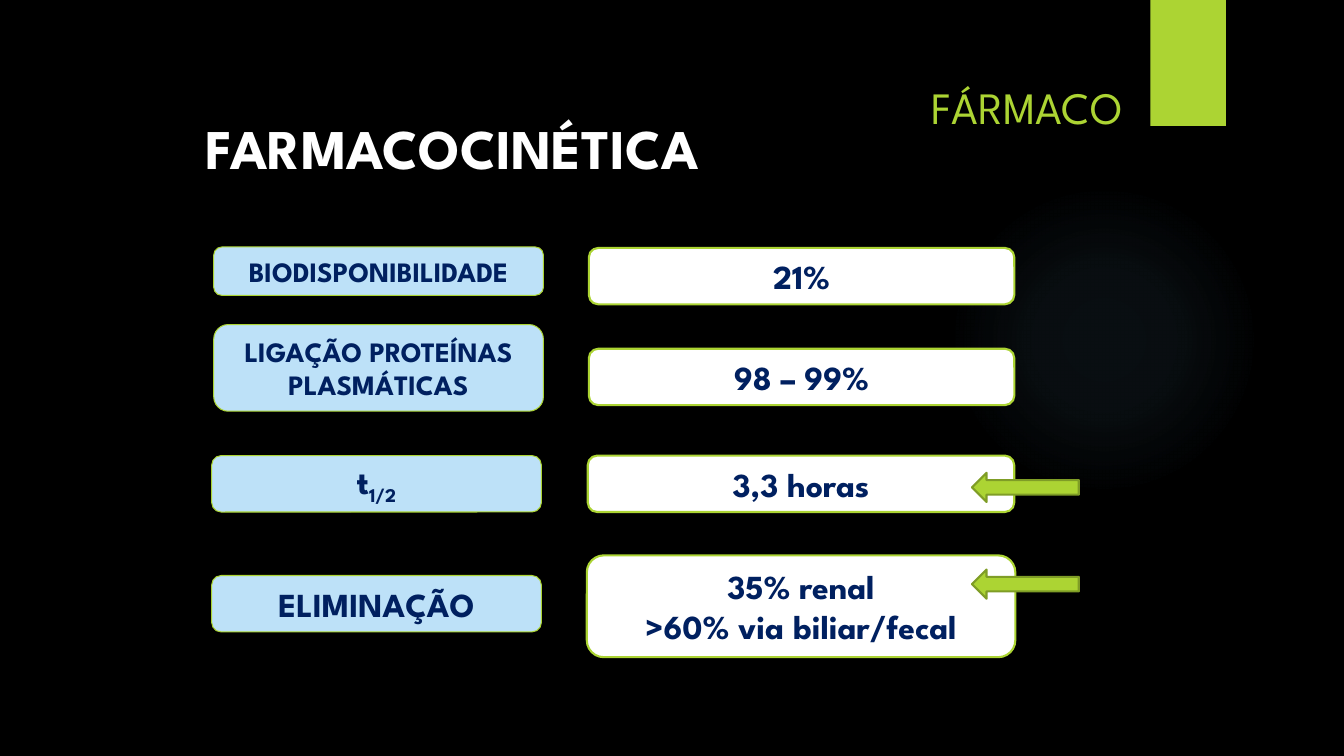
from dataclasses import dataclass

from lxml.etree import SubElement
from pptx import Presentation
from pptx.dml.color import RGBColor
from pptx.enum.shapes import MSO_SHAPE
from pptx.enum.text import MSO_ANCHOR, MSO_AUTO_SIZE, PP_ALIGN
from pptx.oxml.ns import qn
from pptx.util import Inches, Pt


@dataclass(frozen=True)
class Theme:
    font: str = "League Spartan"
    black: str = "000000"
    white: str = "FFFFFF"
    lime: str = "ACD433"
    olive: str = "7F9D26"
    sky: str = "BDE1F8"
    navy: str = "002060"
    glow: str = "7AC4F0"
    title: int = 40
    brand: int = 32
    body: int = 24
    label: int = 20
    thin: float = 0.75
    thick: float = 1.5


T = Theme()


@dataclass(frozen=True)
class Box:
    left: float
    top: float
    width: float
    height: float


@dataclass(frozen=True)
class Card:
    box: Box
    lines: tuple[str, ...]
    size: int = T.body
    subscript: str = ""


@dataclass(frozen=True)
class Heading:
    box: Box
    text: str
    size: int
    color: str
    bold: bool


LABELS = (
    Card(Box(2.12, 2.45, 3.27, 0.48), ("BIODISPONIBILIDADE",), T.label),
    Card(Box(2.12, 3.22, 3.27, 0.86), ("LIGAÇÃO PROTEÍNAS PLASMÁTICAS",), T.label),
    Card(Box(2.1, 4.52, 3.27, 0.56), ("t",), subscript="1/2"),
    Card(Box(2.1, 5.71, 3.27, 0.56), ("ELIMINAÇÃO",)),
)
VALUES = (
    Card(Box(5.84, 2.46, 4.22, 0.56), ("21%",)),
    Card(Box(5.84, 3.46, 4.22, 0.56), ("98 – 99%",)),
    Card(Box(5.83, 4.52, 4.23, 0.56), ("3,3 horas",)),
    Card(Box(5.82, 5.51, 4.25, 1.01), ("35% renal", ">60% via biliar/fecal")),
)
HEADINGS = (
    Heading(Box(9.14, 0.74, 2.14, 0.64), "FÁRMACO", T.brand, T.lime, False),
    Heading(Box(1.94, 1.08, 5.59, 0.77), "FARMACOCINÉTICA", T.title, T.white, True),
)
ARROW_TOPS = (4.69, 5.65)
GLOW_STOPS = ((0, 7), (36, 6), (69, 0))


def emu(box: Box) -> tuple:
    return tuple(Inches(v) for v in (box.left, box.top, box.width, box.height))


def add_run(p, text: str, size: int, color: str, bold: bool):
    r = p.add_run()
    r.text = text
    for name, value in {"name": T.font, "size": Pt(size), "bold": bold}.items():
        setattr(r.font, name, value)
    r.font.color.rgb = RGBColor.from_string(color)
    return r


def add_shape(s, kind, box: Box, fill: str, line: str = "", weight: float = 0):
    sp = s.shapes.add_shape(kind, *emu(box))
    sp.shadow.inherit = False
    sp.fill.solid()
    sp.fill.fore_color.rgb = RGBColor.from_string(fill)
    if line:
        sp.line.color.rgb = RGBColor.from_string(line)
        sp.line.width = Pt(weight)
    else:
        sp.line.fill.background()
    return sp


def add_glow(s, box: Box) -> None:
    sp = add_shape(s, MSO_SHAPE.OVAL, box, T.glow)
    solid = sp._element.spPr.find(qn("a:solidFill"))
    grad = solid.makeelement(qn("a:gradFill"), {"rotWithShape": "1"})
    stops = SubElement(grad, qn("a:gsLst"))
    for position, alpha in GLOW_STOPS:
        stop = SubElement(stops, qn("a:gs"), pos=str(position * 1000))
        color = SubElement(stop, qn("a:srgbClr"), val=T.glow)
        SubElement(color, qn("a:alpha"), val=str(alpha * 1000))
    circle = SubElement(grad, qn("a:path"), path="circle")
    SubElement(circle, qn("a:fillToRect"), {side: "50000" for side in "ltrb"})
    solid.getparent().replace(solid, grad)


def add_card(s, card: Card, fill: str, weight: float) -> None:
    sp = add_shape(s, MSO_SHAPE.ROUNDED_RECTANGLE, card.box, fill, T.lime, weight)
    tf = sp.text_frame
    for name, value in {"word_wrap": True, "vertical_anchor": MSO_ANCHOR.MIDDLE}.items():
        setattr(tf, name, value)
    for i, text in enumerate(card.lines):
        p = tf.add_paragraph() if i else tf.paragraphs[0]
        p.alignment = PP_ALIGN.CENTER
        add_run(p, text, card.size, T.navy, True)
    if card.subscript:
        r = add_run(p, card.subscript, card.size, T.navy, True)
        r._r.get_or_add_rPr().set("baseline", "-25000")


def add_heading(s, heading: Heading) -> None:
    tf = s.shapes.add_textbox(*emu(heading.box)).text_frame
    for name, value in {"word_wrap": False, "auto_size": MSO_AUTO_SIZE.SHAPE_TO_FIT_TEXT}.items():
        setattr(tf, name, value)
    add_run(tf.paragraphs[0], heading.text, heading.size, heading.color, heading.bold)


def main() -> None:
    prs = Presentation()
    prs.slide_width, prs.slide_height = Inches(13.33), Inches(7.5)
    s = prs.slides.add_slide(prs.slide_layouts[6])
    s.background.fill.solid()
    s.background.fill.fore_color.rgb = RGBColor.from_string(T.black)

    add_glow(s, Box(9.41, 1.83, 3.08, 3.08))
    add_shape(s, MSO_SHAPE.RECTANGLE, Box(11.41, 0, 0.75, 1.25), T.lime)
    for heading in HEADINGS:
        add_heading(s, heading)
    for label, value in zip(LABELS, VALUES):
        add_card(s, label, T.sky, T.thin)
        add_card(s, value, T.white, T.thick)
    for top in ARROW_TOPS:
        add_shape(s, MSO_SHAPE.LEFT_ARROW, Box(9.64, top, 1.06, 0.29), T.lime, T.olive, T.thick)

    prs.save("out.pptx")


if __name__ == "__main__":
    main()
